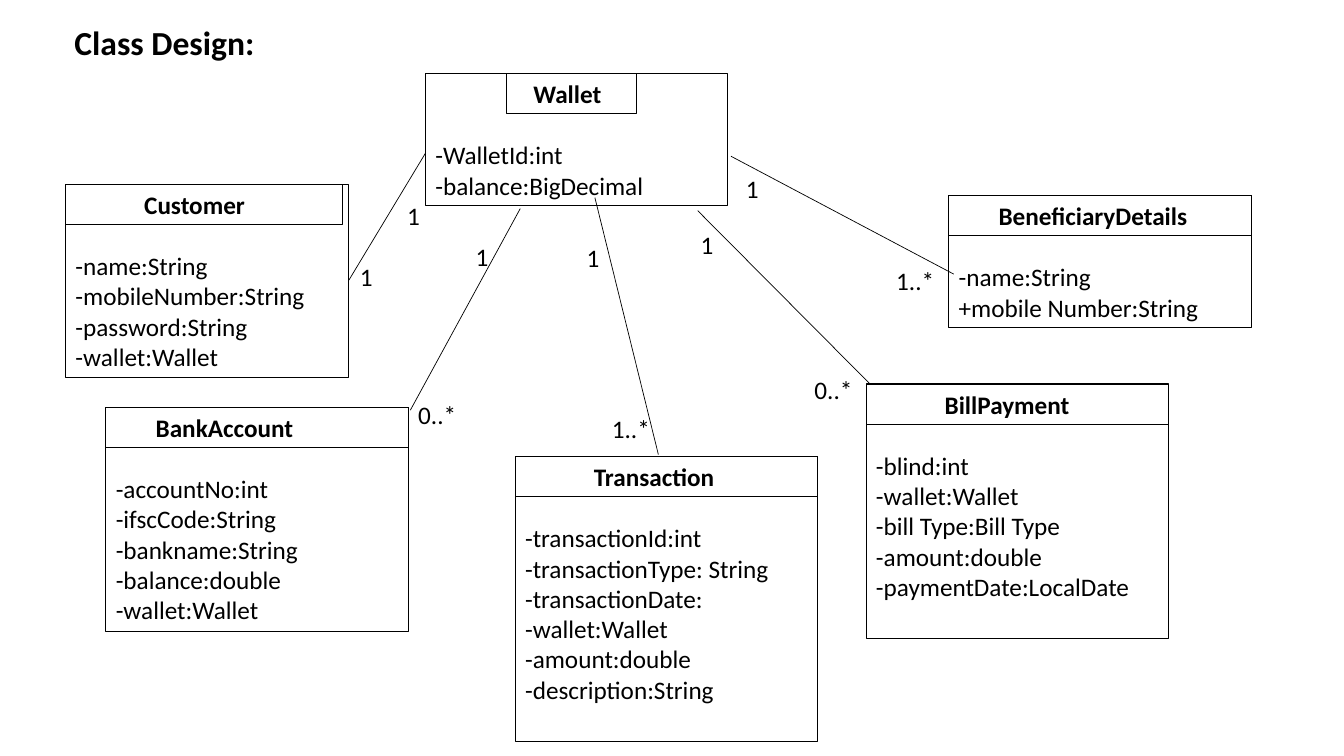
from dataclasses import dataclass

from lxml import etree
from pptx import Presentation
from pptx.dml.color import RGBColor
from pptx.enum.shapes import MSO_CONNECTOR, MSO_SHAPE
from pptx.enum.text import MSO_ANCHOR, PP_ALIGN
from pptx.oxml.ns import qn
from pptx.util import Inches, Pt

RECTANGLE = MSO_SHAPE.RECTANGLE
STRAIGHT = MSO_CONNECTOR.STRAIGHT
TOP = MSO_ANCHOR.TOP
LEFT = PP_ALIGN.LEFT

BLACK = RGBColor(0x00, 0x00, 0x00)
FONT = "Calibri"

# The slide is a grid of square cells, 0.1 inch a side.
CELL = Inches(0.1)
LINE_ROWS = 3.03
INSET_COLS = 1
INSET_ROWS = 0.5
HEADER_ROWS = 4
HEADER_LINES = 2
BOX_COLS = 30


@dataclass(frozen=True)
class ClassBox:
    name: str
    attributes: list[str]
    col: float
    row: float
    name_indent: float
    spare_lines: int = 0
    cols: float = BOX_COLS
    header_offset: float = 0
    header_cols: float = BOX_COLS

    @property
    def rows(self) -> float:
        lines = HEADER_LINES + len(self.attributes) + self.spare_lines
        return 2 * INSET_ROWS + lines * LINE_ROWS


@dataclass(frozen=True)
class Association:
    start: tuple[float, float]
    end: tuple[float, float]


@dataclass(frozen=True)
class Multiplicity:
    text: str
    col: float
    row: float


CLASSES = [
    ClassBox("Wallet", ["-WalletId:int", "-balance:BigDecimal"], 42.2, 7.3, 2.7,
             header_offset=8, header_cols=12.9),
    ClassBox("BeneficiaryDetails", ["-name:String", "+mobile Number:String"],
             94.1, 19.4, 4.95),
    ClassBox("BillPayment",
             ["-blind:int", "-wallet:Wallet", "-bill Type:Bill Type",
              "-amount:double", "-paymentDate:LocalDate"],
             85.9, 38.1, 7.8, spare_lines=1),
    ClassBox("Customer",
             ["-name:String", "-mobileNumber:String", "-password:String",
              "-wallet:Wallet"],
             6.5, 18.3, 7.8, cols=28.1, header_cols=27.5),
    ClassBox("BankAccount",
             ["-accountNo:int", "-ifscCode:String", "-bankname:String",
              "-balance:double", "-wallet:Wallet"],
             10.5, 40.4, 4.95),
    ClassBox("Transaction",
             ["-transactionId:int", "-transactionType: String",
              "-transactionDate:", "-wallet:Wallet", "-amount:double",
              "-description:String"],
             51.1, 45.3, 7.8, spare_lines=1),
]

ASSOCIATIONS = [
    Association((72.5, 15.5), (94.6, 27.2)),
    Association((34.6, 27.8), (42.2, 15.2)),
    Association((59, 19.6), (65.3, 45.1)),
    Association((69.2, 20.9), (86.2, 38)),
    Association((51.6, 20.7), (40.7, 40.7)),
]

MULTIPLICITIES = [
    Multiplicity("1", 34.7, 25.4),
    Multiplicity("1", 39.4, 19.4),
    Multiplicity("1..*", 87.9, 25.8),
    Multiplicity("1", 73, 16.7),
    Multiplicity("1", 46.2, 23.4),
    Multiplicity("1", 57.2, 23.6),
    Multiplicity("1", 68.5, 22.3),
    Multiplicity("0..*", 79.8, 36.6),
    Multiplicity("0..*", 40.5, 39.1),
    Multiplicity("1..*", 59.7, 40.5),
]


def grid(cells: float) -> int:
    return round(cells * CELL)


def write(sp, lines: list[str], *, size: float = 18, bold: bool = False,
          indent: float = INSET_COLS, drop: float = INSET_ROWS) -> None:
    """Fill a shape with one paragraph per line, inset by indent and drop."""
    tf = sp.text_frame
    tf.word_wrap = True
    tf.vertical_anchor = TOP
    tf.margin_left, tf.margin_right = grid(indent), grid(INSET_COLS)
    tf.margin_top, tf.margin_bottom = grid(drop), grid(INSET_ROWS)
    for i, line in enumerate(lines):
        p = tf.paragraphs[0] if i == 0 else tf.add_paragraph()
        p.alignment = LEFT
        r = p.add_run()
        r.text = line
        r.font.name, r.font.size, r.font.bold = FONT, Pt(size), bold
        r.font.color.rgb = BLACK


def add_frame(s, col: float, row: float, cols: float, rows: float):
    """Add an outlined, unfilled rectangle."""
    sp = s.shapes.add_shape(RECTANGLE, grid(col), grid(row), grid(cols), grid(rows))
    sp.shadow.inherit = False
    sp.fill.background()
    sp.line.color.rgb = BLACK
    sp.line.width = Pt(0.75)
    return sp


def add_class(s, box: ClassBox) -> None:
    body = add_frame(s, box.col, box.row, box.cols, box.rows)
    write(body, box.attributes, drop=INSET_ROWS + HEADER_LINES * LINE_ROWS)
    header = add_frame(s, box.col + box.header_offset, box.row,
                       box.header_cols, HEADER_ROWS)
    write(header, [box.name], bold=True, indent=box.name_indent)


def add_association(s, link: Association) -> None:
    line = s.shapes.add_connector(STRAIGHT, *map(grid, link.start + link.end))
    line.line.color.rgb = BLACK
    line.line.width = Pt(0.5)
    etree.SubElement(line._element.spPr, qn("a:effectLst"))


def add_label(s, text: str, col: float, row: float, rows: float = HEADER_ROWS,
              size: float = 18, bold: bool = False) -> None:
    sp = s.shapes.add_textbox(grid(col), grid(row), grid(BOX_COLS), grid(rows))
    write(sp, [text], size=size, bold=bold)


def main() -> None:
    prs = Presentation()
    prs.slide_width, prs.slide_height = Inches(13.33), Inches(7.5)
    s = prs.slides.add_slide(prs.slide_layouts[6])
    for box in CLASSES:
        add_class(s, box)
    for link in ASSOCIATIONS:
        add_association(s, link)
    for mark in MULTIPLICITIES:
        add_label(s, mark.text, mark.col, mark.row)
    add_label(s, "Class Design:", 6.4, 1.7, rows=5, size=24, bold=True)
    prs.save("out.pptx")


if __name__ == "__main__":
    main()
